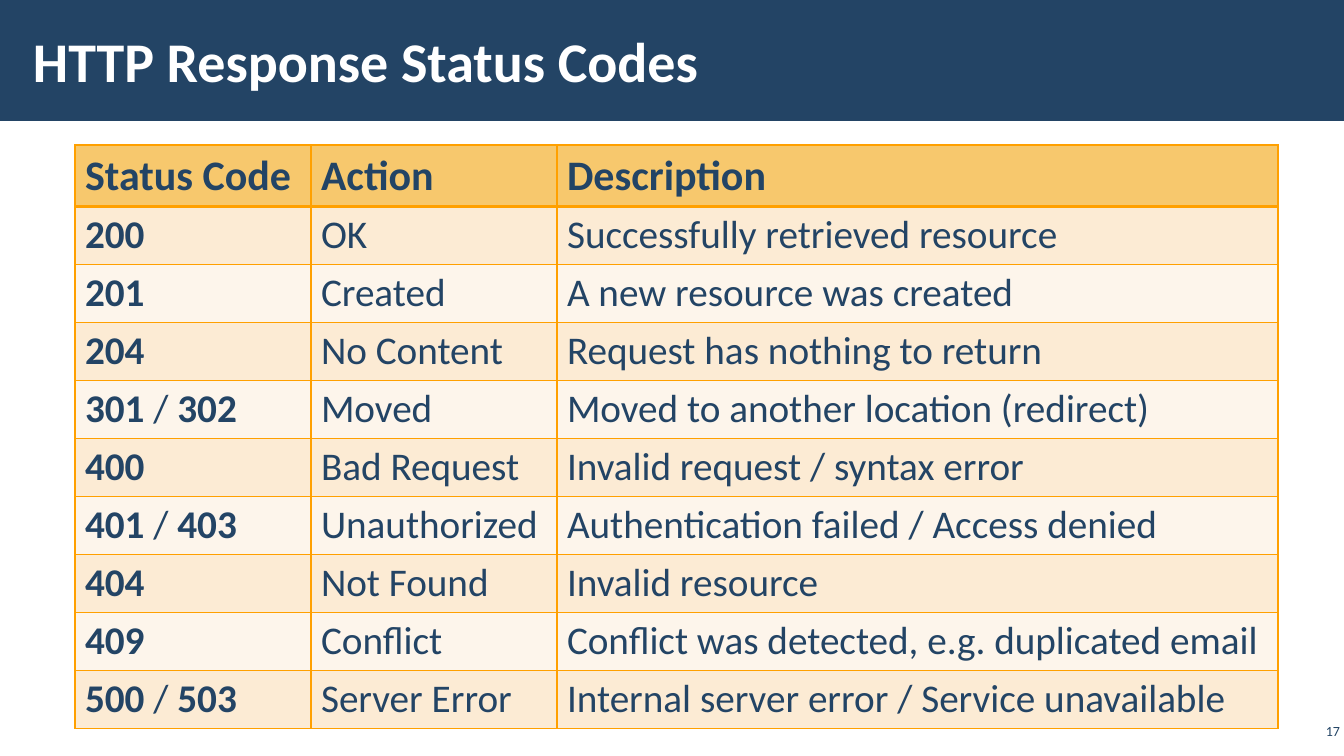
from dataclasses import dataclass

from lxml import etree
from pptx import Presentation
from pptx import util as u
from pptx.dml.color import RGBColor
from pptx.enum import shapes, text
from pptx.oxml.ns import qn

SLIDE_WIDTH, SLIDE_HEIGHT = 1344, 756


@dataclass(frozen=True)
class Theme:
    font: str = "Calibri"
    navy: str = "234465"
    white: str = "FFFFFF"
    border: str = "FFA000"
    header_fill: str = "F7C86D"
    row_fills: tuple = ("FCEBD4", "FDF5EB")
    title_size: int = 40
    header_size: int = 30
    body_size: int = 28
    number_size: int = 10
    thin: int = 1
    thick: int = 3


THEME = Theme()

HEADER = ("Status Code", "Action", "Description")
STATUS_ROWS = (
    ("200", "OK", "Successfully retrieved resource"),
    ("201", "Created", "A new resource was created"),
    ("204", "No Content", "Request has nothing to return"),
    ("301 / 302", "Moved", "Moved to another location (redirect)"),
    ("400", "Bad Request", "Invalid request / syntax error"),
    ("401 / 403", "Unauthorized", "Authentication failed / Access denied"),
    ("404", "Not Found", "Invalid resource"),
    ("409", "Conflict", "Conflict was detected, e.g. duplicated email"),
    ("500 / 503", "Server Error", "Internal server error / Service unavailable"),
)


def px(length):
    return u.Emu(round(length * 12192000 / SLIDE_WIDTH))


def place(shape, box):
    shape.left, shape.top, shape.width, shape.height = map(px, box)


def set_frame(frame, horizontal, vertical):
    frame.word_wrap = True
    frame.auto_size = text.MSO_AUTO_SIZE.NONE
    frame.vertical_anchor = text.MSO_ANCHOR.MIDDLE
    frame.margin_left = frame.margin_right = px(horizontal)
    frame.margin_top = frame.margin_bottom = px(vertical)


def add_run(paragraph, words, size, color=THEME.navy, bold=False):
    run = paragraph.add_run()
    run.text = words
    run.font.name = THEME.font
    run.font.size = u.Pt(size)
    run.font.bold = bold
    run.font.color.rgb = RGBColor.from_string(color)


def add_title_band(slide, box, title_text):
    left, top, width, height = box
    band = slide.shapes.add_shape(shapes.MSO_SHAPE.RECTANGLE, *map(px, box))
    band.shadow.inherit = False
    band.fill.solid()
    band.fill.fore_color.rgb = RGBColor.from_string(THEME.navy)
    band.line.fill.background()

    title = slide.shapes.title
    band._element.addnext(title._element)
    place(title, (left + 21, top + 11, 1047, height - 23))
    set_frame(title.text_frame, 12, 4)
    paragraph = title.text_frame.paragraphs[0]
    paragraph.alignment = text.PP_ALIGN.LEFT
    add_run(paragraph, title_text, THEME.title_size, THEME.white, True)


def set_borders(cell, widths):
    """Draw the sides given as a mapping of L, R, T, B to points."""
    properties = cell._tc.get_or_add_tcPr()
    for side, points in widths.items():
        line = etree.SubElement(properties, qn(f"a:ln{side}"), w=str(u.Pt(points)))
        fill = etree.SubElement(line, qn("a:solidFill"))
        etree.SubElement(fill, qn("a:srgbClr"), val=THEME.border)


def fill_cell(cell, words, row, column):
    is_header = row == 0
    size = THEME.header_size if is_header else THEME.body_size
    paragraph = cell.text_frame.paragraphs[0]
    if column == 0:
        for part in words.partition("/"):
            if part:
                add_run(paragraph, part, size, bold=part != "/")
    else:
        add_run(paragraph, words, size, bold=is_header)

    set_borders(cell, {
        "L": THEME.thin,
        "R": THEME.thin,
        "T": THEME.thick if row == 1 else THEME.thin,
        "B": THEME.thick if is_header else THEME.thin,
    })
    color = THEME.header_fill if is_header else THEME.row_fills[(row - 1) % 2]
    cell.fill.solid()
    cell.fill.fore_color.rgb = RGBColor.from_string(color)


def add_status_table(slide, box, column_widths, header_height):
    rows = (HEADER, *STATUS_ROWS)
    row_height = (box[3] - header_height) // len(STATUS_ROWS)
    table = slide.shapes.add_table(len(rows), len(HEADER), *map(px, box)).table
    for column, width in zip(table.columns, column_widths):
        column.width = px(width)
    for row, values in enumerate(rows):
        table.rows[row].height = px(row_height if row else header_height)
        for column, words in enumerate(values):
            fill_cell(table.cell(row, column), words, row, column)


def add_slide_number(slide, box, number):
    number_box = slide.shapes.add_textbox(*map(px, box))
    set_frame(number_box.text_frame, 4, 4)
    paragraph = number_box.text_frame.paragraphs[0]
    paragraph.alignment = text.PP_ALIGN.RIGHT
    add_run(paragraph, number, THEME.number_size)


def main():
    presentation = Presentation()
    presentation.slide_width = px(SLIDE_WIDTH)
    presentation.slide_height = px(SLIDE_HEIGHT)
    slide = presentation.slides.add_slide(presentation.slide_layouts[5])
    add_title_band(slide, (0, 0, SLIDE_WIDTH, 121), "HTTP Response Status Codes")
    add_slide_number(slide, (SLIDE_WIDTH - 48, 720, 48, 22), "17")
    add_status_table(slide, (75, 145, 1203, 583), (236, 246, 721), 61)
    presentation.save("out.pptx")


if __name__ == "__main__":
    main()
